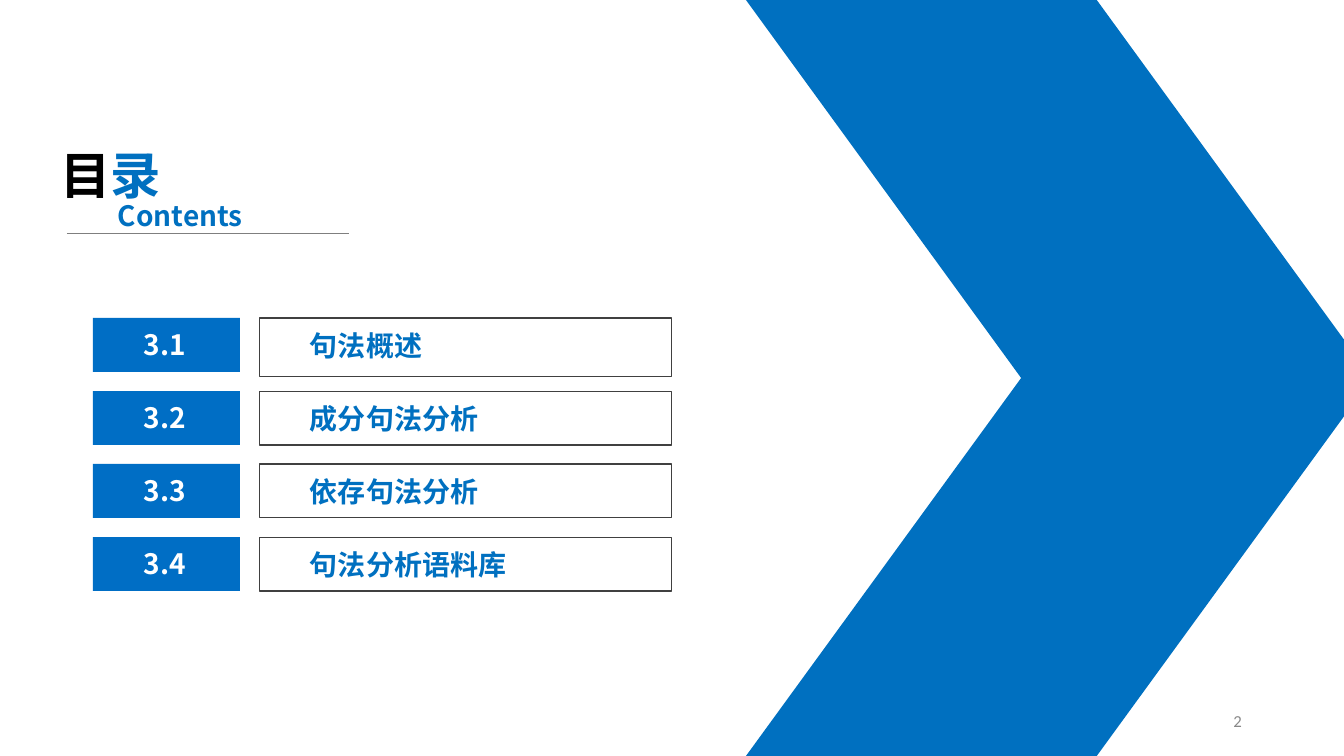
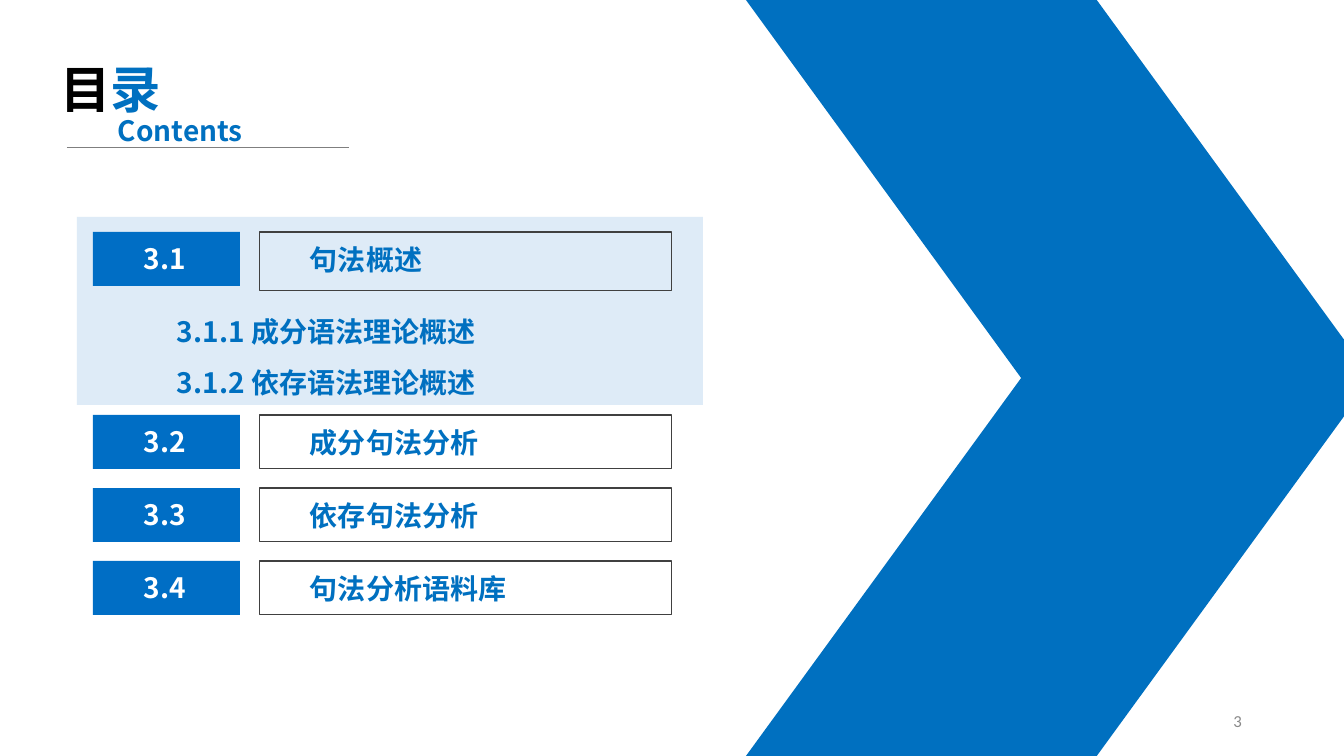
"""Build two contents slides for a chapter on syntactic parsing."""
from lxml.etree import SubElement
from pptx import Presentation
from pptx.dml.color import RGBColor
from pptx.enum.shapes import MSO_CONNECTOR, MSO_SHAPE
from pptx.enum.text import MSO_ANCHOR, MSO_AUTO_SIZE, PP_ALIGN
from pptx.oxml.ns import qn
from pptx.util import Pt

PIXEL = 914400 / 100.8
COLORS = {
    "blue": "0070C0",
    "number": "006EC5",
    "panel": "DEEBF7",
    "black": "000000",
    "white": "FFFFFF",
    "outline": "404040",
    "rule": "7F7F7F",
    "page": "898989",
}
CHINESE_FONT = "Noto Sans CJK SC"
TITLE_ONLY, TITLE_AND_BODY = 5, 1
ROW_PITCH = 73
SECTIONS = [
    ("3.1", "句法概述"),
    ("3.2", "成分句法分析"),
    ("3.3", "依存句法分析"),
    ("3.4", "句法分析语料库"),
]
SUBSECTIONS = ["3.1.1 成分语法理论概述", "3.1.2 依存语法理论概述"]


def px(length):
    return round(length * PIXEL)


def color(name):
    return RGBColor.from_string(COLORS[name])


def write(paragraph, text, size=20, fill="blue", font=CHINESE_FONT, bold=True, align=PP_ALIGN.LEFT):
    paragraph.alignment = align
    run = paragraph.add_run()
    run.text = text
    run.font.size = Pt(size)
    run.font.bold = bold
    run.font.color.rgb = color(fill)
    run.font.name = font
    SubElement(run.font._element, qn("a:ea"), typeface=font)
    return run


def place(shape, left, top, width, height):
    shape.left, shape.top, shape.width, shape.height = map(px, (left, top, width, height))


def set_frame(shape, margins=(10, 5, 10, 5), anchor=MSO_ANCHOR.TOP):
    frame = shape.text_frame
    frame.word_wrap = True
    frame.auto_size = MSO_AUTO_SIZE.NONE
    frame.vertical_anchor = anchor
    frame.margin_left, frame.margin_top, frame.margin_right, frame.margin_bottom = map(px, margins)
    return frame


def add_text_box(slide, *box, anchor=MSO_ANCHOR.TOP):
    shape = slide.shapes.add_textbox(*map(px, box))
    return set_frame(shape, anchor=anchor).paragraphs[0]


def add_block(slide, preset, *box, fill=None, line=None):
    shape = slide.shapes.add_shape(preset, *map(px, box))
    shape.shadow.inherit = False
    if fill:
        shape.fill.solid()
        shape.fill.fore_color.rgb = color(fill)
    else:
        shape.fill.background()
    if line:
        shape.line.color.rgb = color(line)
        shape.line.width = Pt(0.75)
    else:
        shape.line.fill.background()
    return shape


def add_chevron(slide):
    for top, flipped in ((378, False), (0, True)):
        half = add_block(slide, MSO_SHAPE.PARALLELOGRAM, 746, top, 626, 378, fill="blue")
        half.adjustments[0] = 0.728
        if flipped:
            half.element.spPr.find(qn("a:xfrm")).set("flipV", "1")


def add_heading(slide, top):
    title = slide.shapes.title
    place(title, 50, top, 158, 72)
    paragraph = set_frame(title).paragraphs[0]
    write(paragraph, "目", size=36, fill="black")
    write(paragraph, "录", size=36)
    write(add_text_box(slide, 108, top + 55, 158, 44), "Contents")
    rule = slide.shapes.add_connector(
        MSO_CONNECTOR.STRAIGHT, px(67), px(top + 94), px(349), px(top + 94))
    rule.line.color.rgb = color("rule")
    rule.line.width = Pt(0.5)
    SubElement(rule.element.spPr, qn("a:effectLst"))


def add_section(slide, top, number, name, height=54):
    number_box = add_block(slide, MSO_SHAPE.RECTANGLE, 93, top, 147, 54, fill="number")
    frame = set_frame(number_box, margins=(7, 9, 10, 0))
    write(frame.paragraphs[0], number, fill="white", align=PP_ALIGN.CENTER)
    name_box = add_block(slide, MSO_SHAPE.RECTANGLE, 260, top, 412, height, line="outline")
    write(set_frame(name_box, margins=(50, 10, 10, 0)).paragraphs[0], name)


def add_sections(slide, top, gap_after_first=0):
    for index, (number, name) in enumerate(SECTIONS):
        offset = index * ROW_PITCH + (gap_after_first if index else 0)
        add_section(slide, top + offset, number, name, height=54 if index else 59)


def add_subsections(slide):
    body = slide.placeholders[1]
    place(body, 167, 293, 494, 106)
    frame = set_frame(body)
    for index, text in enumerate(SUBSECTIONS):
        paragraph = frame.add_paragraph() if index else frame.paragraphs[0]
        properties = paragraph._p.get_or_add_pPr()
        properties.set("marL", "0")
        properties.set("indent", "0")
        SubElement(properties, qn("a:buNone"))
        paragraph.space_before = Pt(0)
        paragraph.line_spacing = 1.5
        write(paragraph, text)
    panel = add_block(slide, MSO_SHAPE.RECTANGLE, 77, 217, 626, 188, fill="panel")
    body.element.addprevious(panel.element)


def add_page_number(slide, number):
    paragraph = add_text_box(slide, 950, 701, 302, 40, anchor=MSO_ANCHOR.MIDDLE)
    run = write(paragraph, str(number), size=12, fill="page", font="Calibri",
                bold=False, align=PP_ALIGN.RIGHT)
    field = SubElement(paragraph._p, qn("a:fld"), type="slidenum",
                       id="{5B2C1D7E-4A3F-4E6B-9C8D-1F2A3B4C5D6E}")
    field.extend(list(run._r))
    paragraph._p.remove(run._r)


def add_contents_slide(presentation, layout, page, top, gap_after_first=0):
    slide = presentation.slides.add_slide(presentation.slide_layouts[layout])
    add_chevron(slide)
    add_heading(slide, top)
    add_sections(slide, top + 179, gap_after_first)
    add_page_number(slide, page)
    return slide


def main():
    presentation = Presentation()
    presentation.slide_width, presentation.slide_height = px(1344), px(756)
    presentation.element.set("firstSlideNum", "2")
    add_contents_slide(presentation, TITLE_ONLY, page=2, top=139)
    detail = add_contents_slide(presentation, TITLE_AND_BODY, page=3, top=53, gap_after_first=110)
    add_subsections(detail)
    presentation.save("out.pptx")


if __name__ == "__main__":
    main()
